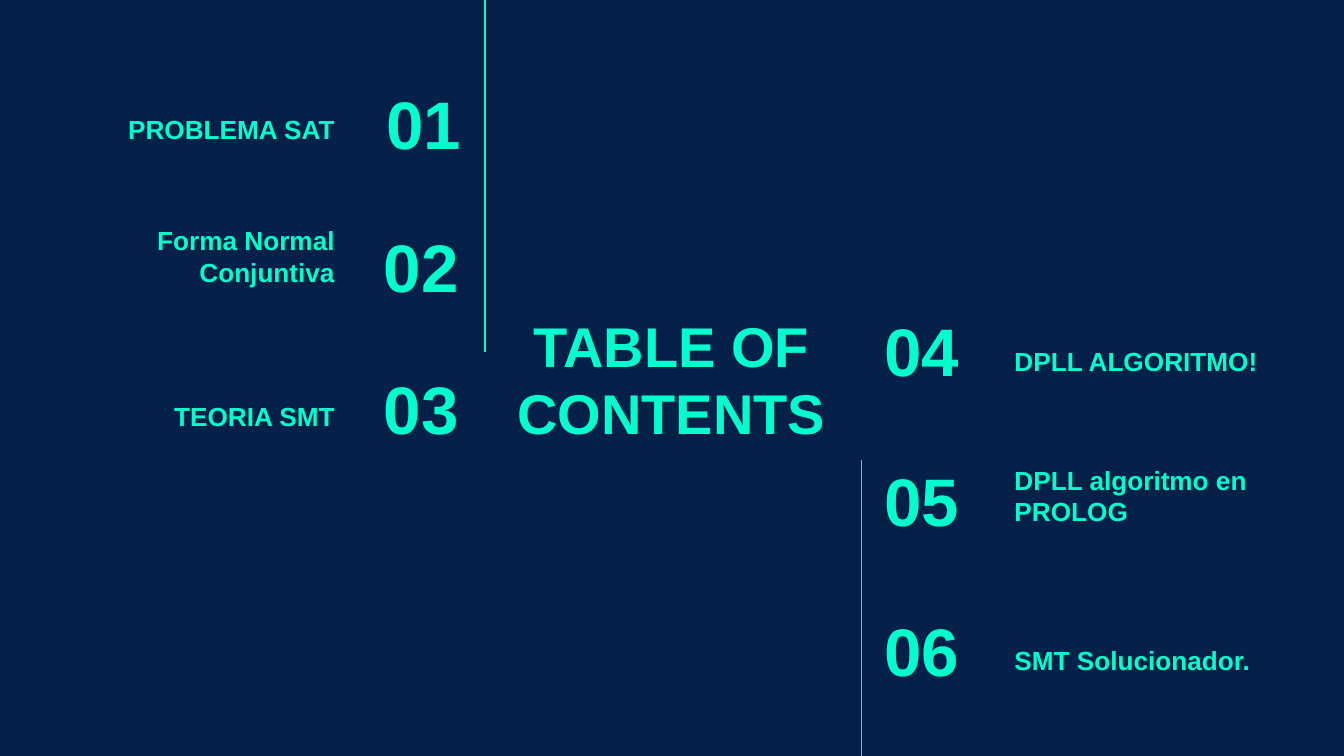
"""Build a table of contents slide with two numbered columns around a title."""
from lxml.etree import SubElement
from pptx import Presentation
from pptx.dml.color import RGBColor
from pptx.enum.shapes import MSO_CONNECTOR
from pptx.enum.text import MSO_ANCHOR, PP_ALIGN
from pptx.oxml.ns import qn
from pptx.util import Inches, Pt

COLORS = {"background": "05214A", "accent": "00FFCD"}
ROW_HEIGHT = 0.63


def add_text(text, left, top, width, height, size, align, anchor):
    box = slide.shapes.add_textbox(Inches(left), Inches(top), Inches(width), Inches(height))
    frame = box.text_frame
    frame.text = text
    frame.word_wrap = True
    frame.vertical_anchor = anchor
    frame.margin_left = frame.margin_right = Inches(0.1)
    frame.margin_top = frame.margin_bottom = Inches(0.1)
    para = frame.paragraphs[0]
    para.alignment = align
    font = para.runs[0].font
    font.name = "Arial"
    font.size = Pt(size)
    font.bold = True
    font.color.rgb = RGBColor.from_string(COLORS["accent"])


deck = Presentation()
deck.slide_width = Inches(10)
deck.slide_height = Inches(10 * 9 / 16)
slide = deck.slides.add_slide(deck.slide_layouts[6])
slide.background.fill.solid()
slide.background.fill.fore_color.rgb = RGBColor.from_string(COLORS["background"])

add_text("TABLE OF CONTENTS", 3.7, 2.3, 2.59, 1.03, 30, PP_ALIGN.CENTER, MSO_ANCHOR.MIDDLE)

left_entries = [
    ("01", 2.32, 0.6, "PROBLEMA SAT", 0.55),
    ("02", 2.3, 1.66, "Forma Normal Conjuntiva", 1.61),
    ("03", 2.3, 2.72, "TEORIA SMT", 2.68),
]
right_entries = [
    ("04", 6.48, 2.29, "DPLL ALGORITMO!", 2.27),
    ("05", 6.48, 3.4, "DPLL algoritmo en PROLOG", 3.39),
    ("06", 6.48, 4.52, "SMT Solucionador.", 4.5),
]
columns = [
    (left_entries, 0.43, 1.21, PP_ALIGN.RIGHT),
    (right_entries, 7.45, 1.17, PP_ALIGN.LEFT),
]
for entries, label_left, number_width, align in columns:
    for number, number_left, number_top, label, label_top in entries:
        add_text(label, label_left, label_top, 2.16, ROW_HEIGHT, 14, align, MSO_ANCHOR.BOTTOM)
        add_text(number, number_left, number_top, number_width, ROW_HEIGHT, 36, align, MSO_ANCHOR.MIDDLE)

for x, top, bottom in [(3.61, 0, 2.62), (6.41, 3.42, 5.64)]:
    line = slide.shapes.add_connector(
        MSO_CONNECTOR.STRAIGHT, Inches(x), Inches(top), Inches(x), Inches(bottom)
    )
    line.line.color.rgb = RGBColor.from_string(COLORS["accent"])
    line.line.width = Pt(0.75)
    SubElement(line._element.spPr, qn("a:effectLst"))

deck.save("out.pptx")
